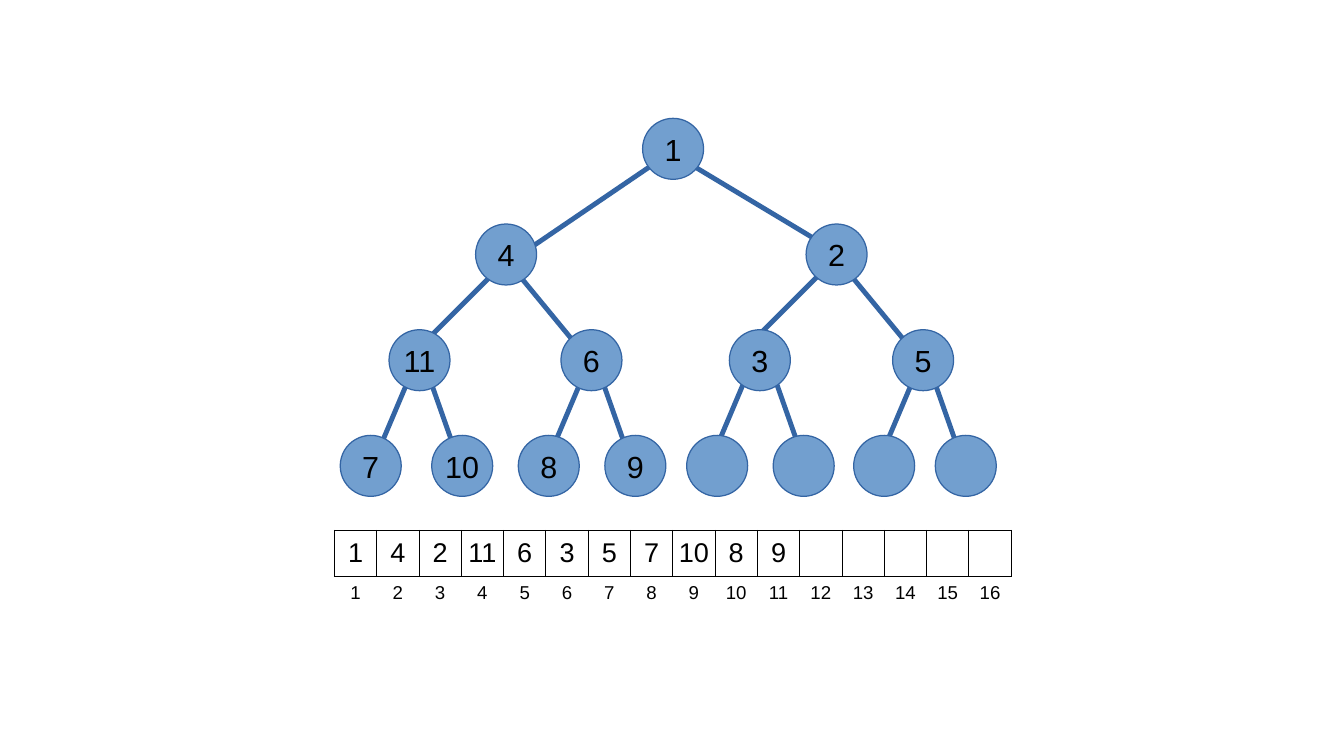
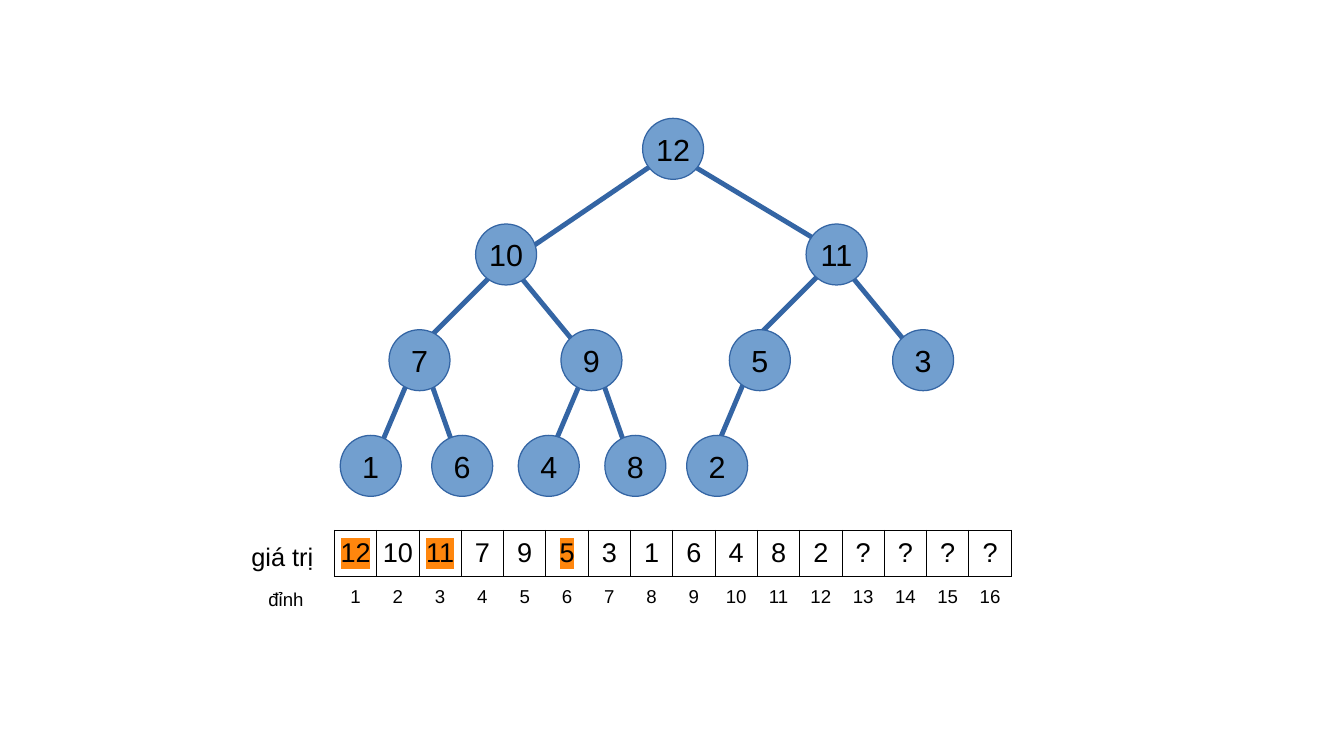
from dataclasses import dataclass
from typing import NamedTuple

from lxml.etree import SubElement
from pptx import Presentation
from pptx.dml.color import RGBColor
from pptx.enum.shapes import MSO_CONNECTOR, MSO_SHAPE
from pptx.enum.text import MSO_ANCHOR, PP_ALIGN
from pptx.oxml.ns import qn
from pptx.slide import Slide
from pptx.table import _Cell
from pptx.text.text import TextFrame
from pptx.util import Pt

COLORS = {"text": "000000", "node": "729FCF", "edge": "3465A4", "highlight": "FF860D"}
FONT = "Arial"

NODE_SIZE = 36
ROOT_TOP = 69.9
LEVEL_STEP = 62.4
EDGE_WIDTH = 2.89

TABLE_LEFT = 197.4
TABLE_WIDTH = 399.6
ROW_HEIGHT = 27.4
VALUES_TOP = 313.2
CELL_COUNT = 16
BORDER_WIDTH = 0.57


class Node(NamedTuple):
    left: float
    edge_start: float = 0  # x where the edge leaves the parent


class Edge(NamedTuple):
    top: float
    across: float
    down: float


class RowLabel(NamedTuple):
    text: str
    left: float
    top: float
    size: float


@dataclass
class Heap:
    nodes: list[str]
    values: list[str]
    index_top: float
    highlighted: tuple[int, ...] = ()
    labels: tuple[RowLabel, ...] = ()


# Vertex i (from 1) has its parent at i // 2.
NODES = [
    Node(379.4),
    Node(280.8, 396), Node(475.9, 396),
    Node(229.7, 296.6), Node(331.2, 306), Node(430.6, 489.6), Node(527, 501.8),
    Node(200.9, 243.4), Node(254.9, 252), Node(306, 345.6), Node(357.1, 353.5),
    Node(405.4, 442.1), Node(456.5, 455.8), Node(504, 541.4), Node(552.2, 549.4),
]

# Per level: the edge to a left child, then to a right child.
EDGES = {
    1: (Edge(90, -85.7, 58.3), Edge(90, 92.2, 55.4)),
    2: (Edge(156.2, -54, 54), Edge(162, 37.4, 45.4)),
    3: (Edge(218.9, -21.6, 51.1), Edge(218.9, 18, 51.1)),
}

MIN_HEAP = "1 4 2 11 6 3 5 7 10 8 9".split()
MAX_HEAP = "12 10 11 7 9 5 3 1 6 4 8 2".split()

HEAPS = [
    Heap(
        nodes=MIN_HEAP + [""] * (len(NODES) - len(MIN_HEAP)),
        values=MIN_HEAP + [""] * (CELL_COUNT - len(MIN_HEAP)),
        index_top=336.2,
    ),
    Heap(
        nodes=MAX_HEAP,
        values=MAX_HEAP + ["?"] * (CELL_COUNT - len(MAX_HEAP)),
        index_top=339.1,
        highlighted=(1, 3, 6),
        labels=(RowLabel("đỉnh", 141.8, 333.4, 11), RowLabel("giá trị", 139.7, 308.2, 15)),
    ),
]


def color(name: str) -> RGBColor:
    return RGBColor.from_string(COLORS[name])


def write_text(frame: TextFrame, text: str, size: float) -> None:
    frame.vertical_anchor = MSO_ANCHOR.MIDDLE
    paragraph = frame.paragraphs[0]
    paragraph.alignment = PP_ALIGN.CENTER
    paragraph.font.name = FONT
    paragraph.font.size = Pt(size)
    paragraph.font.color.rgb = color("text")
    if text:
        paragraph.add_run().text = text


def add_edge(slide: Slide, vertex: int) -> None:
    edge = EDGES[vertex.bit_length() - 1][vertex % 2]
    start = NODES[vertex - 1].edge_start
    connector = slide.shapes.add_connector(
        MSO_CONNECTOR.STRAIGHT,
        Pt(start), Pt(edge.top), Pt(start + edge.across), Pt(edge.top + edge.down),
    )
    connector.line.color.rgb = color("edge")
    connector.line.width = Pt(EDGE_WIDTH)
    SubElement(connector._element.spPr, qn("a:effectLst"))


def add_node(slide: Slide, vertex: int, text: str) -> None:
    top = ROOT_TOP + LEVEL_STEP * (vertex.bit_length() - 1)
    shape = slide.shapes.add_shape(
        MSO_SHAPE.OVAL, Pt(NODES[vertex - 1].left), Pt(top), Pt(NODE_SIZE), Pt(NODE_SIZE)
    )
    shape.shadow.inherit = False
    shape.fill.solid()
    shape.fill.fore_color.rgb = color("node")
    shape.line.color.rgb = color("edge")
    shape.line.width = Pt(0)
    if text:
        shape.text_frame.word_wrap = False
        write_text(shape.text_frame, text, 18)


def set_borders(cell: _Cell, visible: bool) -> None:
    properties = cell._tc.get_or_add_tcPr()
    for side in ("lnL", "lnR", "lnT", "lnB"):
        line = SubElement(properties, qn(f"a:{side}"), w=str(Pt(BORDER_WIDTH)))
        if visible:
            fill = SubElement(line, qn("a:solidFill"))
            SubElement(fill, qn("a:srgbClr"), val=COLORS["text"])
        else:
            SubElement(line, qn("a:noFill"))


def highlight(cell: _Cell) -> None:
    for run in cell.text_frame.paragraphs[0].runs:
        mark = SubElement(run._r.get_or_add_rPr(), qn("a:highlight"))
        SubElement(mark, qn("a:srgbClr"), val=COLORS["highlight"])


def add_row(
    slide: Slide, top: float, texts: list[str], size: float,
    bordered: bool = False, highlighted: tuple[int, ...] = (),
) -> None:
    """Add a one-row table; highlighted holds cell numbers from 1."""
    table = slide.shapes.add_table(
        1, len(texts), Pt(TABLE_LEFT), Pt(top), Pt(TABLE_WIDTH), Pt(ROW_HEIGHT)
    ).table
    table.first_row = False
    table.horz_banding = False
    for number, text in enumerate(texts, start=1):
        cell = table.cell(0, number - 1)
        cell.margin_left = cell.margin_right = Pt(2.9)
        cell.margin_top = cell.margin_bottom = Pt(3.6)
        cell.vertical_anchor = MSO_ANCHOR.MIDDLE
        set_borders(cell, bordered)
        cell.fill.background()
        write_text(cell.text_frame, text, size)
        if number in highlighted:
            highlight(cell)


def add_row_label(slide: Slide, label: RowLabel) -> None:
    box = slide.shapes.add_textbox(Pt(label.left), Pt(label.top), Pt(54), Pt(40.3))
    box.text_frame.word_wrap = True
    write_text(box.text_frame, label.text, label.size)


def build_slide(slide: Slide, heap: Heap) -> None:
    add_row(slide, VALUES_TOP, heap.values, 16, True, heap.highlighted)
    for vertex in range(2, len(heap.nodes) + 1):
        add_edge(slide, vertex)
    for vertex, text in enumerate(heap.nodes, start=1):
        add_node(slide, vertex, text)
    add_row(slide, heap.index_top, [str(n) for n in range(1, CELL_COUNT + 1)], 11)
    for label in heap.labels:
        add_row_label(slide, label)


def main() -> None:
    presentation = Presentation()
    presentation.slide_width = Pt(793.44)
    presentation.slide_height = Pt(446.4)
    blank_layout = presentation.slide_layouts[6]
    for heap in HEAPS:
        build_slide(presentation.slides.add_slide(blank_layout), heap)
    presentation.save("out.pptx")


if __name__ == "__main__":
    main()
